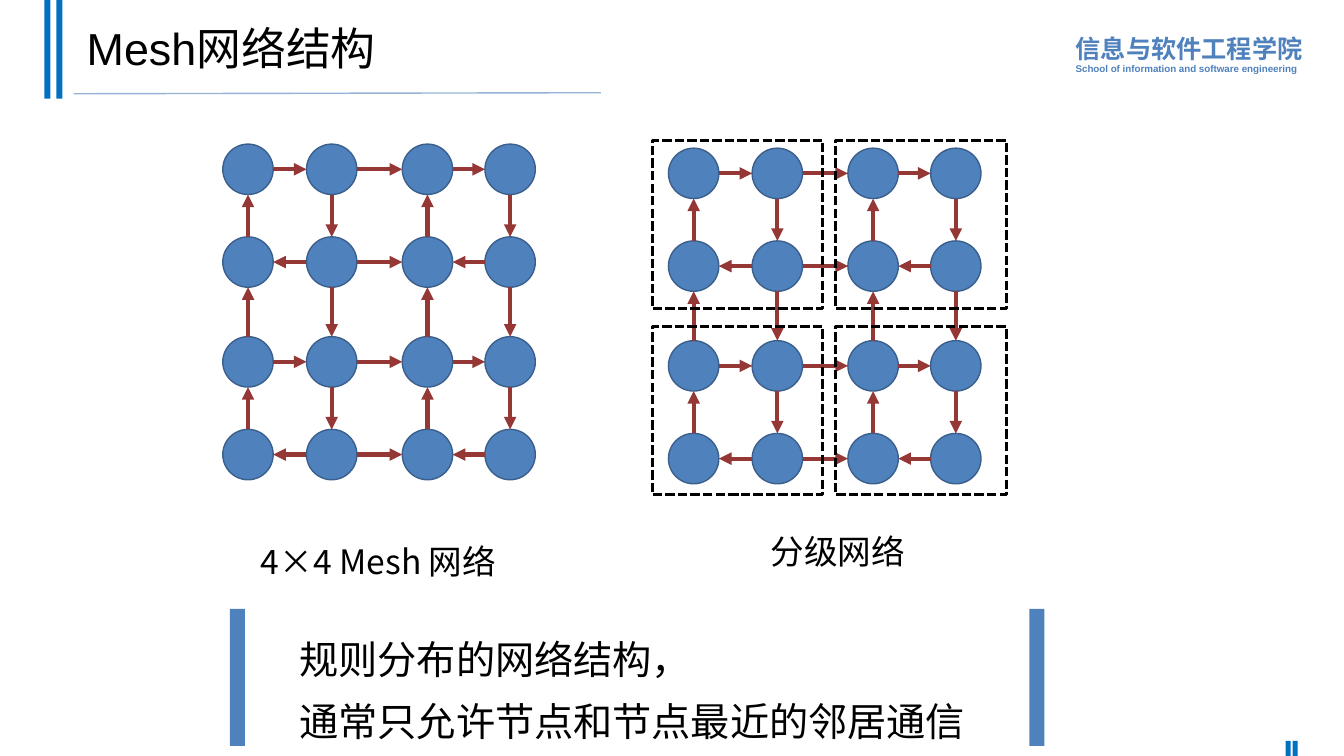
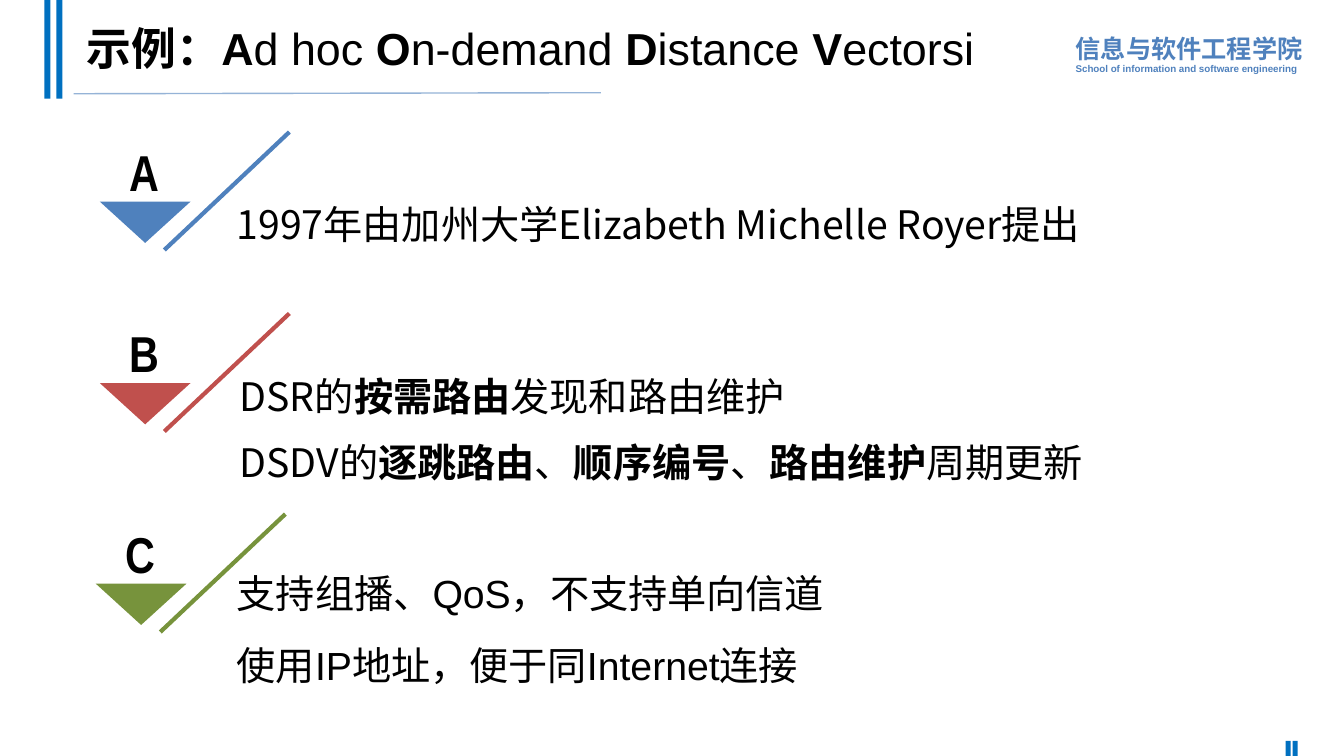
from pptx import Presentation
from pptx.dml.color import RGBColor
from pptx.enum.dml import MSO_LINE
from pptx.enum.shapes import MSO_CONNECTOR, MSO_SHAPE
from pptx.enum.text import MSO_ANCHOR, MSO_AUTO_SIZE, PP_ALIGN
from pptx.oxml.ns import qn
from pptx.oxml.xmlchemy import OxmlElement
from pptx.util import Inches, Pt

BLACK = RGBColor(0x00, 0x00, 0x00)
BAND_BLUE = RGBColor(0x00, 0x70, 0xC0)
RULE_BLUE = RGBColor(0x95, 0xB3, 0xD7)
BLUE = RGBColor(0x4F, 0x81, 0xBD)
NODE_EDGE = RGBColor(0x3A, 0x5F, 0x8C)
ARROW_RED = RGBColor(0x95, 0x37, 0x35)
RED = RGBColor(0xC0, 0x50, 0x4D)
GREEN = RGBColor(0x77, 0x93, 0x3C)

LATIN = "Arial"
NARROW = "Arial Narrow"
CJK = "Noto Sans CJK SC"

STRAIGHT = MSO_CONNECTOR.STRAIGHT
RECT = MSO_SHAPE.RECTANGLE
OVAL = MSO_SHAPE.OVAL
SYS_DASH = MSO_LINE.SQUARE_DOT
TOP, MIDDLE, BOTTOM = MSO_ANCHOR.TOP, MSO_ANCHOR.MIDDLE, MSO_ANCHOR.BOTTOM
LEFT, CENTER = PP_ALIGN.LEFT, PP_ALIGN.CENTER
NO_FIT = MSO_AUTO_SIZE.NONE

NODE = 0.5
MESH_COLUMNS = (0, 0.83, 1.78, 2.6)
MESH_ROWS = (0, 0.92, 1.91, 2.83)


def place(shape, left, top, width, height):
    shape.left, shape.top = Inches(left), Inches(top)
    shape.width, shape.height = Inches(width), Inches(height)


def style_paragraph(paragraph, size, font=LATIN, color=BLACK, bold=None,
                    align=LEFT, spacing=None, before=0):
    paragraph.alignment = align
    paragraph.space_before = Pt(before)
    if spacing:
        paragraph.line_spacing = spacing
    paragraph.font.size = Pt(size)
    paragraph.font.name = font
    paragraph.font.color.rgb = color
    paragraph.font.bold = bold
    east_asian = OxmlElement("a:ea")
    east_asian.set("typeface", CJK)
    paragraph.font.element.append(east_asian) if hasattr(
        paragraph.font, "element") else paragraph._p.pPr.find(
        qn("a:defRPr")).append(east_asian)


def write(frame, lines, size, anchor=TOP, before=0, bullets=True, **style):
    frame.word_wrap = True
    frame.auto_size = NO_FIT
    frame.vertical_anchor = anchor
    for index, line in enumerate(lines):
        paragraph = frame.paragraphs[0] if index == 0 else frame.add_paragraph()
        if not bullets:
            properties = paragraph._p.get_or_add_pPr()
            properties.set("marL", "0")
            properties.set("indent", "0")
            properties.append(OxmlElement("a:buNone"))
        for part, text in enumerate(line.split("**")):
            if text:
                run = paragraph.add_run()
                run.text = text
                if part % 2:
                    run.font.bold = True
        style_paragraph(paragraph, size, before=before if index else 0, **style)


def add_text(slide, box, lines, size, inset=True, **style):
    label = slide.shapes.add_textbox(*map(Inches, box))
    frame = label.text_frame
    if not inset:
        frame.margin_left = frame.margin_right = 0
        frame.margin_top = frame.margin_bottom = 0
    write(frame, lines, size, **style)
    return label


def paint(shape, fill=None, edge=None, weight=1):
    shape.shadow.inherit = False
    if fill is None:
        shape.fill.background()
    else:
        shape.fill.solid()
        shape.fill.fore_color.rgb = fill
    if edge is None:
        shape.line.fill.background()
    else:
        shape.line.color.rgb = edge
        shape.line.width = Pt(weight)
    return shape


def add_shape(slide, kind, box, fill=None, edge=None, weight=1):
    shape = slide.shapes.add_shape(kind, *map(Inches, box))
    return paint(shape, fill, edge, weight)


def add_line(slide, start, end, color, weight, arrow=False):
    line = slide.shapes.add_connector(STRAIGHT, *map(Inches, (*start, *end)))
    line.line.color.rgb = color
    line.line.width = Pt(weight)
    properties = line.element.spPr
    if arrow:
        head = OxmlElement("a:tailEnd")
        head.set("type", "triangle")
        properties.find(qn("a:ln")).append(head)
    properties.append(OxmlElement("a:effectLst"))
    return line


def decorate_master(prs, slide):
    school = add_text(slide, (10.57, 0.23, 2.6, 0.56), ["信息与软件工程学院"], 18,
                      color=BLUE, bold=True, spacing=Pt(25))
    english = school.text_frame.add_paragraph()
    english.text = "School of information and software engineering"
    style_paragraph(english, 7, color=BLUE, bold=True, spacing=Pt(8))
    bands = [add_shape(slide, RECT, box, BAND_BLUE) for box in (
        (0.44, 0, 0.06, 0.98), (0.56, 0, 0.06, 0.98),
        (12.75, 7.35, 0.05, 0.15), (12.82, 7.35, 0.05, 0.15))]
    rule = add_line(slide, (0.73, 0.93), (5.96, 0.92), RULE_BLUE, 1)
    for number, shape in enumerate([school, *bands, rule], start=20):
        shape.element.xpath(".//p:cNvPr")[0].set("id", str(number))
        prs.slide_master.shapes.element.append(shape.element)


def set_title(slide, text):
    title = slide.shapes.title
    place(title, 0.76, 0.07, 11.5, 0.88)
    write(title.text_frame, [text], 32, anchor=MIDDLE, spacing=0.9)


def add_mesh(slide, left, top):
    columns = [left + offset for offset in MESH_COLUMNS]
    rows = [top + offset for offset in MESH_ROWS]
    for y in rows:
        for x in columns:
            add_shape(slide, OVAL, (x, y, NODE, NODE), BLUE, NODE_EDGE)
    for row, y in enumerate(rows):
        for col, (x, following) in enumerate(zip(columns, columns[1:])):
            ends = [(x + NODE, y + NODE / 2), (following, y + NODE / 2)]
            if row % 2 and col % 2 == 0:
                ends.reverse()
            add_line(slide, *ends, ARROW_RED, 3, arrow=True)
    for col, x in enumerate(columns):
        for y, following in zip(rows, rows[1:]):
            ends = [(x + NODE / 2, y + NODE), (x + NODE / 2, following)]
            if col % 2 == 0:
                ends.reverse()
            add_line(slide, *ends, ARROW_RED, 3, arrow=True)


def add_clusters(slide, left, top):
    for row in range(2):
        for col in range(2):
            box = (left + col * 1.82, top + row * 1.85, 1.69, 1.67)
            cluster = add_shape(slide, RECT, box, edge=BLACK, weight=2.25)
            cluster.line.dash_style = SYS_DASH


def add_topic(slide, letter, color, left, top):
    add_line(slide, (left + 1.88, top - 0.69), (left + 0.64, top + 0.48), color, 3)
    outline = slide.shapes.build_freeform(Inches(left), Inches(top))
    outline.add_line_segments([(Inches(left + 0.9), Inches(top)),
                               (Inches(left + 0.45), Inches(top + 0.41))])
    paint(outline.convert_to_shape(), color)
    add_text(slide, (left - 0.04, top - 0.94, 0.96, 0.94), [letter], 36,
             inset=False, anchor=BOTTOM, font=NARROW, bold=True, align=CENTER)


def build_mesh_slide(slide):
    set_title(slide, "Mesh网络结构")
    summary = slide.placeholders[1]
    place(summary, 2.87, 6.11, 7.78, 1.34)
    write(summary.text_frame, ["规则分布的网络结构，", "通常只允许节点和节点最近的邻居通信"],
          28, bullets=False, spacing=Pt(44))
    for left in (2.28, 10.21):
        add_shape(slide, RECT, (left, 6.04, 0.15, 1.36), BLUE)
    add_mesh(slide, 2.21, 1.43)
    add_mesh(slide, 6.63, 1.47)
    add_clusters(slide, 6.47, 1.39)
    for box, caption in (((2.21, 5.32, 3.09, 0.5), "4×4 Mesh 网络"),
                         ((7.04, 5.22, 2.54, 0.5), "分级网络")):
        add_text(slide, box, [caption], 24, anchor=MIDDLE, font=CJK, align=CENTER)


def build_aodv_slide(slide):
    set_title(slide, "**示例：A**d hoc **O**n-demand **D**istance **V**ectorsi")
    add_topic(slide, "A", BLUE, 0.99, 2)
    add_topic(slide, "B", RED, 0.99, 3.8)
    add_topic(slide, "C", GREEN, 0.95, 5.79)
    add_text(slide, (2.25, 1.7, 9.5, 1.05),
             ["1997年由加州大学Elizabeth Michelle Royer提出"],
             28, anchor=MIDDLE, font=CJK)
    add_text(slide, (2.28, 3.68, 9.13, 1.05),
             ["DSR的**按需路由**发现和路由维护",
              "DSDV的**逐跳路由**、**顺序编号**、**路由维护**周期更新"],
             28, anchor=MIDDLE, font=CJK, spacing=Pt(41), before=6)
    add_text(slide, (2.25, 5.67, 9.13, 1.05),
             ["支持组播、QoS，不支持单向信道", "使用IP地址，便于同Internet连接"],
             28, anchor=MIDDLE, spacing=Pt(40), before=12)


def main():
    prs = Presentation()
    prs.slide_width, prs.slide_height = Inches(13.33), Inches(7.5)
    mesh_slide = prs.slides.add_slide(prs.slide_layouts[1])
    decorate_master(prs, mesh_slide)
    build_mesh_slide(mesh_slide)
    build_aodv_slide(prs.slides.add_slide(prs.slide_layouts[5]))
    prs.save("out.pptx")


if __name__ == "__main__":
    main()
